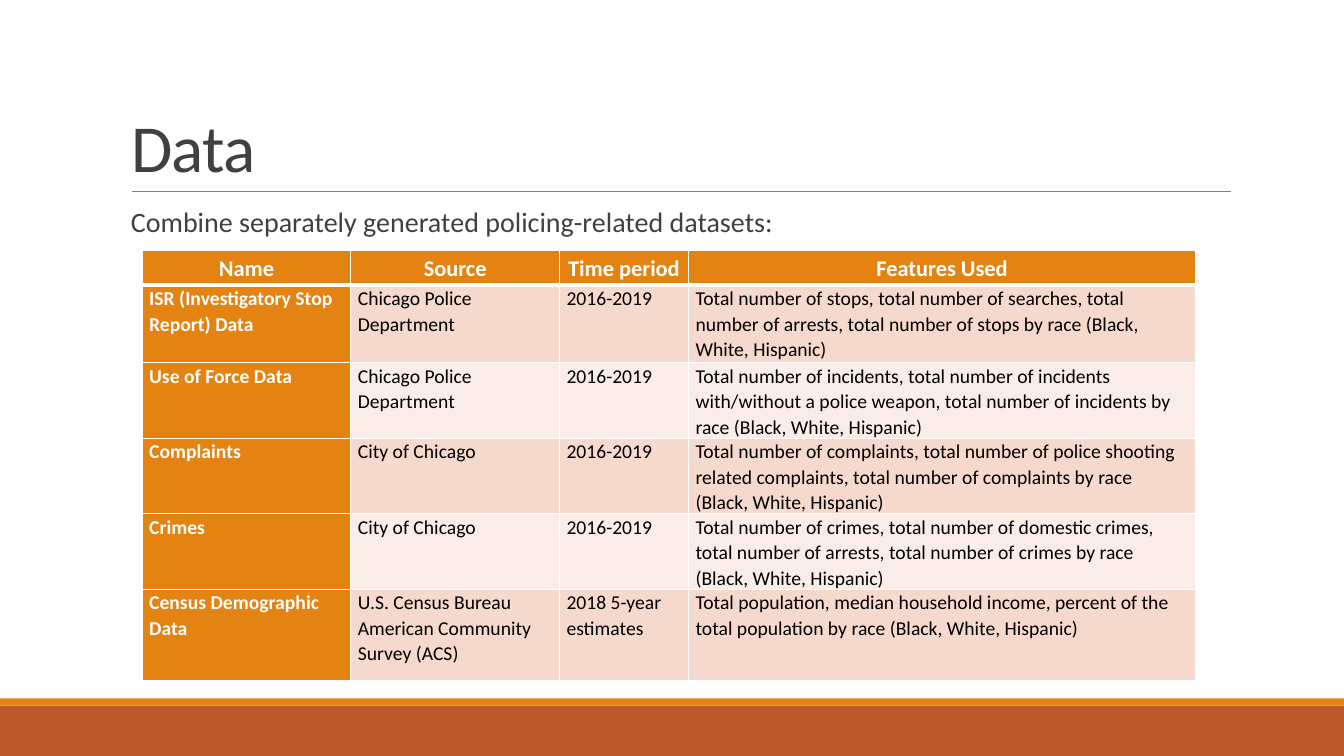
from dataclasses import dataclass

from lxml.etree import SubElement
from pptx import Presentation
from pptx.dml.color import RGBColor
from pptx.enum.shapes import MSO_CONNECTOR, MSO_SHAPE
from pptx.enum.text import MSO_ANCHOR, MSO_AUTO_SIZE, PP_ALIGN
from pptx.oxml.ns import qn
from pptx.util import Inches, Pt


@dataclass(frozen=True)
class Theme:
    font: str = "Calibri"
    orange: str = "E48312"
    rust: str = "BD582C"
    rule: str = "808080"
    ink: str = "404040"
    black: str = "000000"
    white: str = "FFFFFF"
    bands: tuple = ("F5D9CC", "FAEDE7")
    title_size: int = 48
    lead_size: int = 20
    header_size: int = 16
    cell_size: int = 14


HEADER = ("Name", "Source", "Time period", "Features Used")
DATASETS = (
    ("ISR (Investigatory Stop Report) Data", "Chicago Police Department", "2016-2019",
     "Total number of stops, total number of searches, total number of arrests, "
     "total number of stops by race (Black, White, Hispanic)"),
    ("Use of Force Data", "Chicago Police Department", "2016-2019",
     "Total number of incidents, total number of incidents with/without a police weapon, "
     "total number of incidents by race (Black, White, Hispanic)"),
    ("Complaints", "City of Chicago", "2016-2019",
     "Total number of complaints, total number of police shooting related complaints, "
     "total number of complaints by race (Black, White, Hispanic)"),
    ("Crimes", "City of Chicago", "2016-2019",
     "Total number of crimes, total number of domestic crimes, total number of arrests, "
     "total number of crimes by race (Black, White, Hispanic)"),
    ("Census Demographic Data", "U.S. Census Bureau American Community Survey (ACS)",
     "2018 5-year estimates",
     "Total population, median household income, percent of the total population "
     "by race (Black, White, Hispanic)"),
)
COL_WIDTHS = (2.07, 2.07, 1.28, 5.03)
ROW_HEIGHTS = (0.35, 0.77, 0.71, 0.71, 0.71, 0.9)


class SlideBuilder:
    def __init__(self, prs, theme):
        self.theme = theme
        self.s = prs.slides.add_slide(prs.slide_layouts[5])

    def style(self, p, size, color, bold=False, spacing=1.0, align=PP_ALIGN.LEFT):
        p.font.name = self.theme.font
        p.font.size = Pt(size)
        p.font.bold = bold
        p.font.color.rgb = RGBColor.from_string(color)
        p.line_spacing = spacing
        p.alignment = align

    def bar(self, top, height, color):
        sp = self.s.shapes.add_shape(
            MSO_SHAPE.RECTANGLE, 0, Inches(top), Inches(13.33), Inches(height))
        sp.shadow.inherit = False
        sp.fill.solid()
        sp.fill.fore_color.rgb = RGBColor.from_string(color)
        sp.line.fill.background()

    def rule(self, left, right, y):
        line = self.s.shapes.add_connector(
            MSO_CONNECTOR.STRAIGHT, Inches(left), Inches(y), Inches(right), Inches(y))
        line.line.color.rgb = RGBColor.from_string(self.theme.rule)
        line.line.width = Pt(0.5)
        SubElement(line._element.spPr, qn("a:effectLst"))

    def title(self, text, left, top, width, height):
        sp = self.s.shapes.title
        sp.left, sp.top, sp.width, sp.height = map(Inches, (left, top, width, height))
        tf = sp.text_frame
        tf.text = text
        tf.auto_size = MSO_AUTO_SIZE.NONE
        tf.vertical_anchor = MSO_ANCHOR.BOTTOM
        p = tf.paragraphs[0]
        self.style(p, self.theme.title_size, self.theme.ink, spacing=0.85)
        p.runs[0].font._element.set("spc", "-50")

    def lead(self, text, left, top, width, height):
        sp = self.s.shapes.add_textbox(*map(Inches, (left, top, width, height)))
        tf = sp.text_frame
        tf.word_wrap = True
        tf.margin_left, tf.margin_right = Inches(0.1), 0
        tf.text = text
        p = tf.paragraphs[0]
        self.style(p, self.theme.lead_size, self.theme.ink, spacing=0.9)
        p.space_before, p.space_after = Pt(12), Pt(2)

    def borders(self, cell, is_header, below_header):
        tcPr = cell._tc.get_or_add_tcPr()
        thick = {"lnB": is_header, "lnT": below_header}
        for i, side in enumerate(("lnL", "lnR", "lnT", "lnB")):
            ln = tcPr.makeelement(qn(f"a:{side}"), {"w": str(Pt(3 if thick.get(side) else 1))})
            fill = SubElement(ln, qn("a:solidFill"))
            SubElement(fill, qn("a:srgbClr"), val=self.theme.white)
            tcPr.insert(i, ln)

    def cell(self, cell, text, row, col):
        t = self.theme
        is_header = row == 0
        strong = is_header or col == 0
        cell.text = text
        cell.margin_left = cell.margin_right = Inches(0.07)
        cell.margin_top = cell.margin_bottom = 0
        cell.vertical_anchor = MSO_ANCHOR.MIDDLE if is_header else MSO_ANCHOR.TOP
        cell.fill.solid()
        cell.fill.fore_color.rgb = RGBColor.from_string(
            t.orange if strong else t.bands[(row - 1) % 2])
        self.style(cell.text_frame.paragraphs[0],
                   t.header_size if is_header else t.cell_size,
                   t.white if strong else t.black, strong, 1.07,
                   PP_ALIGN.CENTER if is_header else PP_ALIGN.LEFT)
        self.borders(cell, is_header, row == 1)

    def table(self, rows, left, top, widths, heights):
        frame = self.s.shapes.add_table(
            len(rows), len(widths), Inches(left), Inches(top),
            Inches(sum(widths)), Inches(sum(heights)))
        table = frame.table
        table.first_col = True
        for column, width in zip(table.columns, widths):
            column.width = Inches(width)
        for row, height in zip(table.rows, heights):
            row.height = Inches(height)
        for r, texts in enumerate(rows):
            for c, text in enumerate(texts):
                self.cell(table.cell(r, c), text, r, c)


def main():
    prs = Presentation()
    prs.slide_width, prs.slide_height = Inches(13.33), Inches(7.5)
    theme = Theme()
    slide = SlideBuilder(prs, theme)
    slide.bar(7, 0.5, theme.rust)
    slide.bar(6.93, 0.07, theme.orange)
    slide.rule(1.31, 12.21, 1.9)
    slide.title("Data", 1.2, 0.31, 11, 1.59)
    slide.lead("Combine separately generated policing-related datasets:", 1.2, 2.02, 11, 4.4)
    slide.table((HEADER, *DATASETS), 1.41, 2.48, COL_WIDTHS, ROW_HEIGHTS)
    prs.save("out.pptx")


if __name__ == "__main__":
    main()
